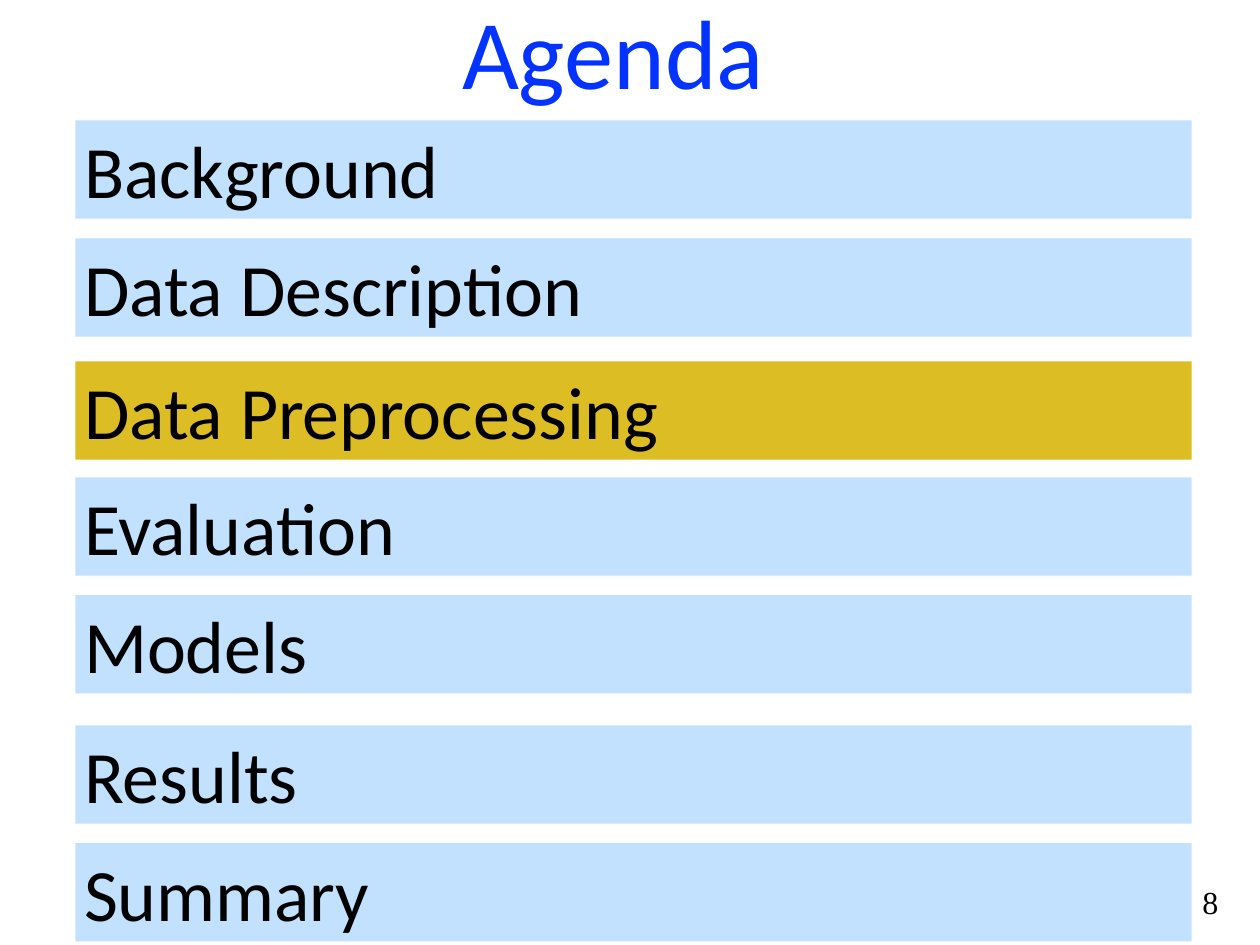
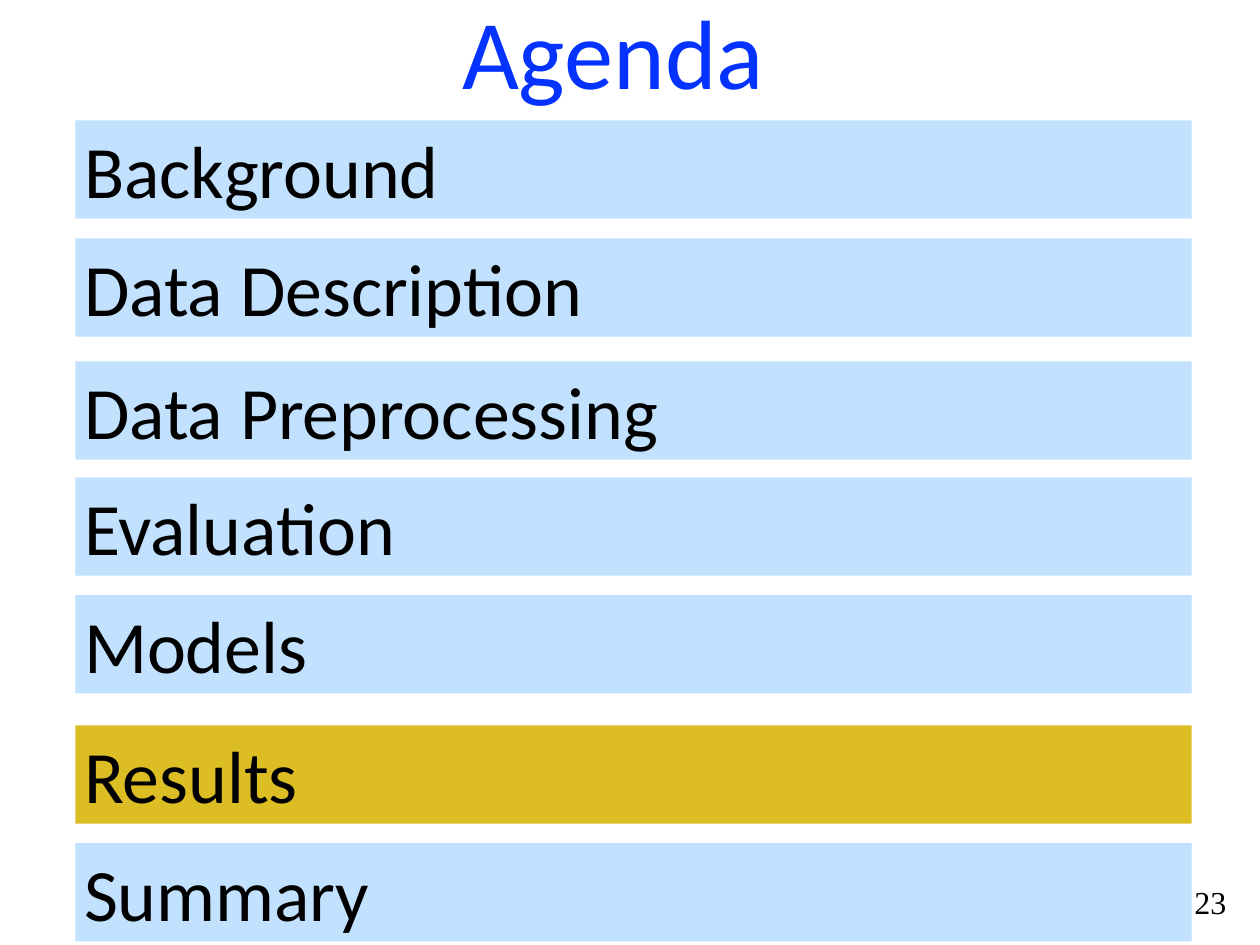
"""Build two agenda slides, each highlighting the current section."""
from pptx import Presentation
from pptx import util as u
from pptx.dml.color import RGBColor
from pptx.enum import shapes, text

PX = 9144
BLUE = RGBColor(0x04, 0x33, 0xFF)
BLACK = RGBColor(0, 0, 0)
PALE_BLUE = RGBColor(0xC1, 0xE1, 0xFE)
GOLD = RGBColor(0xDC, 0xBD, 0x23)

SECTIONS = [
    ("Background", 136),
    ("Data Description", 269),
    ("Data Preprocessing", 408),
    ("Evaluation", 539),
    ("Models", 672),
    ("Results", 819),
    ("Summary", 952),
]
AGENDAS = [("Data Preprocessing", "8"), ("Results", "23")]
NUMBER_CENTER = 1366


def write(shape, words, font_name, size, color, align, anchor):
    frame = shape.text_frame
    frame.text = words
    frame.vertical_anchor = anchor
    paragraph = frame.paragraphs[0]
    paragraph.alignment = align
    font = paragraph.runs[0].font
    font.name = font_name
    font.size = u.Pt(size)
    font.color.rgb = color
    return frame


def add_label(slide, left, top, width, height, *style):
    box = slide.shapes.add_textbox(left * PX, top * PX, width * PX, height * PX)
    frame = write(box, *style)
    frame.margin_left = frame.margin_right = 0
    frame.margin_top = frame.margin_bottom = 0
    return frame


presentation = Presentation()
presentation.slide_width = 1422 * PX
presentation.slide_height = 1067 * PX

for current, number in AGENDAS:
    slide = presentation.slides.add_slide(presentation.slide_layouts[6])
    title = add_label(slide, 85, -61, 1214, 236, "Agenda", "Calibri", 80, BLUE,
                      text.PP_ALIGN.CENTER, text.MSO_ANCHOR.MIDDLE)
    title.word_wrap = True

    for section, top in SECTIONS:
        bar = slide.shapes.add_shape(shapes.MSO_SHAPE.RECTANGLE,
                                     85 * PX, top * PX, 1260 * PX, 111 * PX)
        bar.shadow.inherit = False
        bar.fill.solid()
        bar.fill.fore_color.rgb = GOLD if section == current else PALE_BLUE
        bar.line.fill.background()
        frame = write(bar, section, "Calibri", 60, BLACK,
                      text.PP_ALIGN.LEFT, text.MSO_ANCHOR.TOP)
        frame.word_wrap = True
        frame.auto_size = text.MSO_AUTO_SIZE.SHAPE_TO_FIT_TEXT

    width = 20 * len(number)
    page = add_label(slide, NUMBER_CENTER - width // 2, 997, width, 44, number,
                     "Times New Roman", 26, BLACK,
                     text.PP_ALIGN.CENTER, text.MSO_ANCHOR.TOP)
    page.word_wrap = False
    page.auto_size = text.MSO_AUTO_SIZE.SHAPE_TO_FIT_TEXT

presentation.save("out.pptx")
